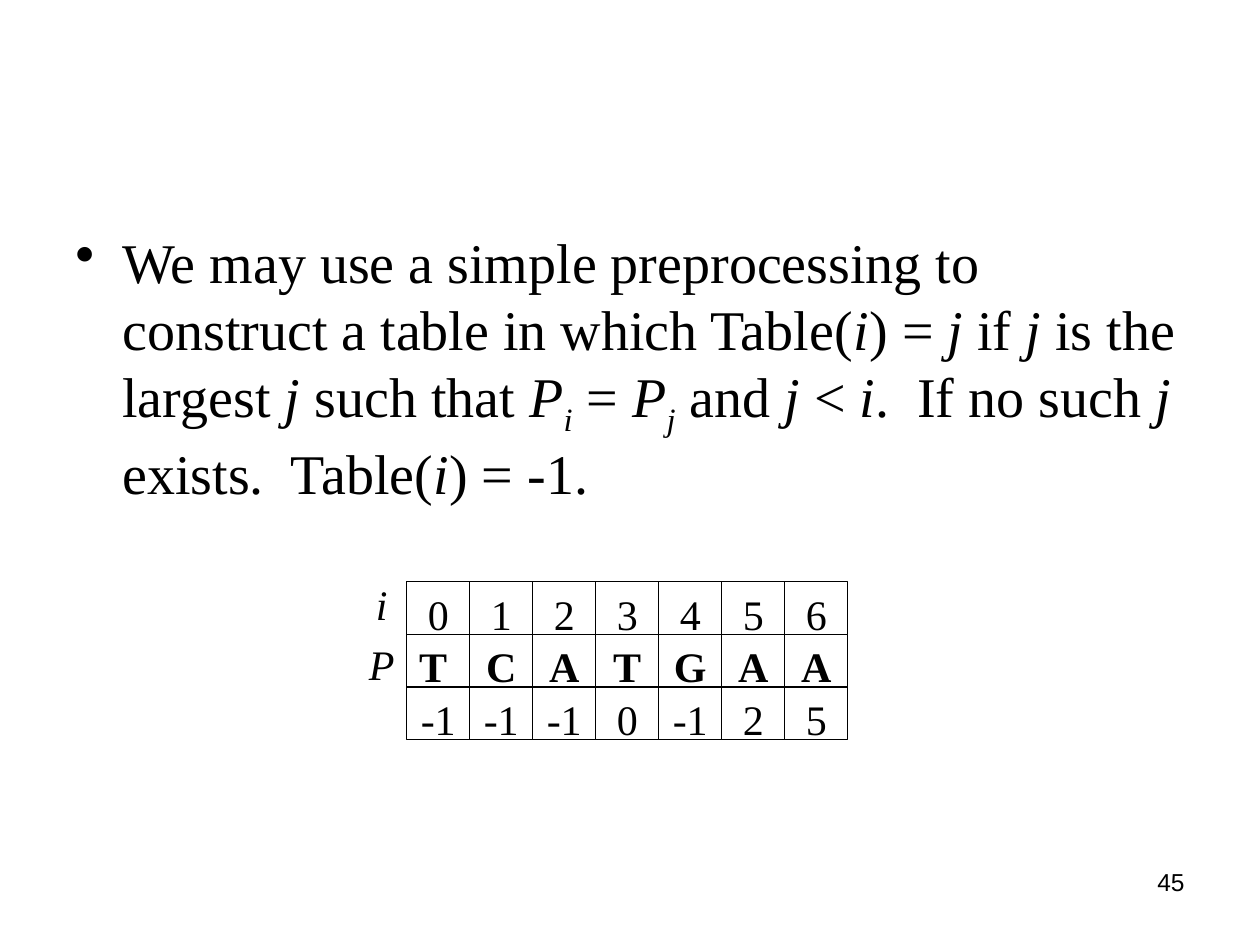
import lxml.etree
import pptx
import pptx.dml.color
import pptx.enum.shapes
import pptx.enum.text
import pptx.oxml.ns
import pptx.util

Cm = pptx.util.Cm
ALIGN = pptx.enum.text.PP_ALIGN
COLOURS = {"ink": "000000", "paper": "FFFFFF"}
STATEMENT = (
    "We may use a simple preprocessing to construct a table in which "
    "Table(*i*) = *j* if *j* is the largest *j* such that *P**_i* = *P**_j* "
    "and *j* < *i*.  If no such* j* exists.  Table(*i*) = -1."
)
ROWS = [
    ["0", "1", "2", "3", "4", "5", "6"],
    ["T", "C", "A", "T", "G", "A", "A"],
    ["-1", "-1", "-1", "0", "-1", "2", "5"],
]


def colour(name):
    return pptx.dml.color.RGBColor.from_string(COLOURS[name])


def write_text(box, text, size=24, font="Times New Roman", bold=False, align=ALIGN.CENTER):
    """Write text where *stars* mark italics and a leading _ marks a subscript."""
    frame = box.text_frame
    frame.word_wrap = True
    frame.vertical_anchor = pptx.enum.text.MSO_ANCHOR.TOP
    frame.margin_left = frame.margin_right = Cm(0.25)
    frame.margin_top = frame.margin_bottom = Cm(0.13)
    para = frame.paragraphs[0]
    para.alignment = align
    for index, part in enumerate(text.split("*")):
        if not part:
            continue
        span = para.add_run()
        span.text = part.removeprefix("_")
        span.font.name = font
        span.font.size = pptx.util.Pt(size)
        span.font.bold = bold
        span.font.italic = index % 2 == 1
        span.font.color.rgb = colour("ink")
        if part.startswith("_"):
            span._r.get_or_add_rPr().set("baseline", "-25000")
    return para


class SlideWriter:
    def __init__(self, page):
        self.page = page
        self.line_width = pptx.util.Pt(0.75)

    def label(self, left, top, width, height, text, **text_format):
        box = self.page.shapes.add_textbox(Cm(left), Cm(top), Cm(width), Cm(height))
        return write_text(box, text, **text_format)

    def bullet(self, left, top, width, height, text, **text_format):
        para = self.label(left, top, width, height, text, align=ALIGN.LEFT, **text_format)
        properties = para._p.get_or_add_pPr()
        properties.set("marL", str(Cm(0.95)))
        properties.set("indent", str(-Cm(0.95)))
        lxml.etree.SubElement(properties, pptx.oxml.ns.qn("a:buChar"), char="•")

    def cell(self, left, top, width, height, text, **text_format):
        box = self.page.shapes.add_shape(
            pptx.enum.shapes.MSO_SHAPE.RECTANGLE, Cm(left), Cm(top), Cm(width), Cm(height)
        )
        box.shadow.inherit = False
        box.fill.solid()
        box.fill.fore_color.rgb = colour("paper")
        box.line.color.rgb = colour("ink")
        box.line.width = self.line_width
        write_text(box, text, **text_format)

    def grid(self, left, top, width, height, rows, bold_row):
        for row, values in enumerate(rows):
            for column, value in enumerate(values):
                align = ALIGN.LEFT if (row, column) == (bold_row, 0) else ALIGN.CENTER
                self.cell(left + column * width, top + row * height, width, height,
                          value, bold=row == bold_row, align=align)


def main():
    deck = pptx.Presentation()
    deck.slide_width, deck.slide_height = Cm(25.4), Cm(19.05)
    writer = SlideWriter(deck.slides.add_slide(deck.slide_layouts[6]))
    writer.bullet(1.27, 4.45, 22.86, 12.57, STATEMENT, size=32)
    writer.grid(8.2, 11.73, 1.27, 1.06, ROWS, bold_row=1)
    for top, name in [(11.53, "*i*"), (12.75, "*P*")]:
        writer.label(7.16, top, 1.07, 1.27, name)
    writer.label(18.21, 17.35, 5.92, 1.32, "45", size=14, font="Arial", align=ALIGN.RIGHT)
    deck.save("out.pptx")


if __name__ == "__main__":
    main()
